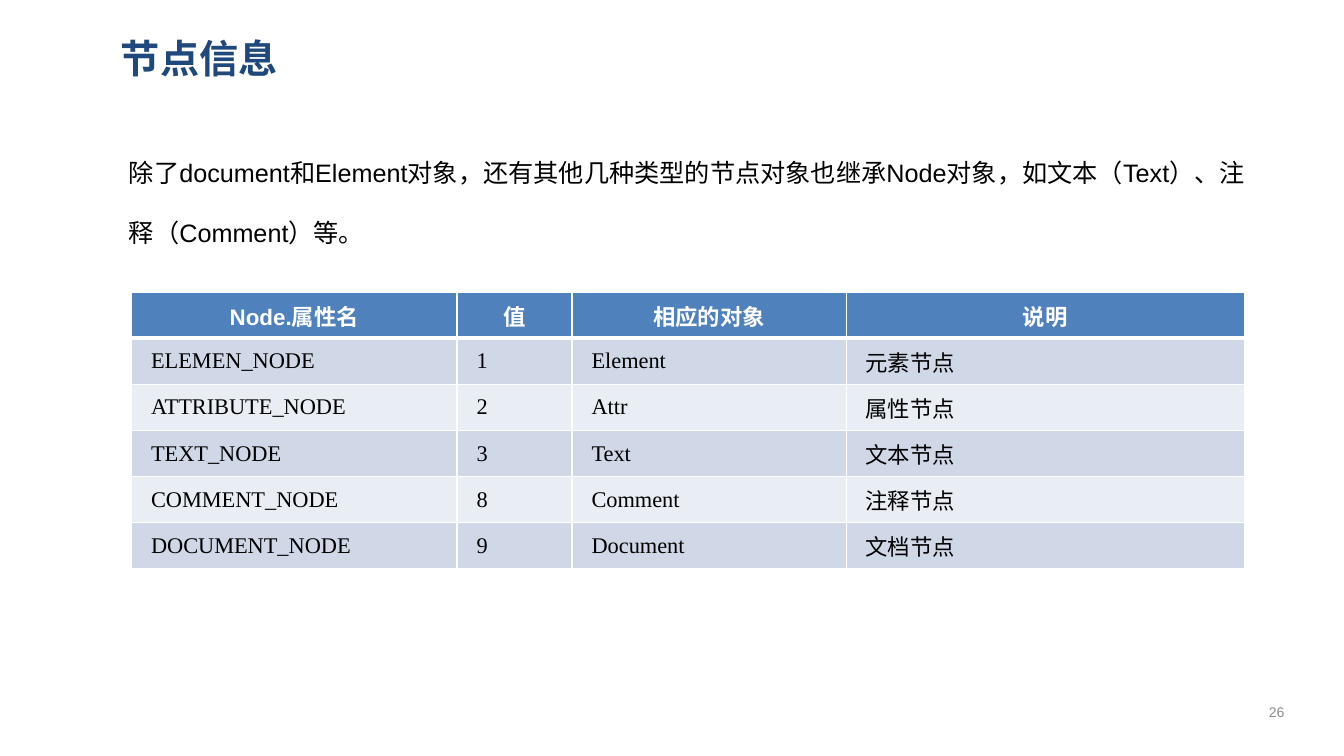
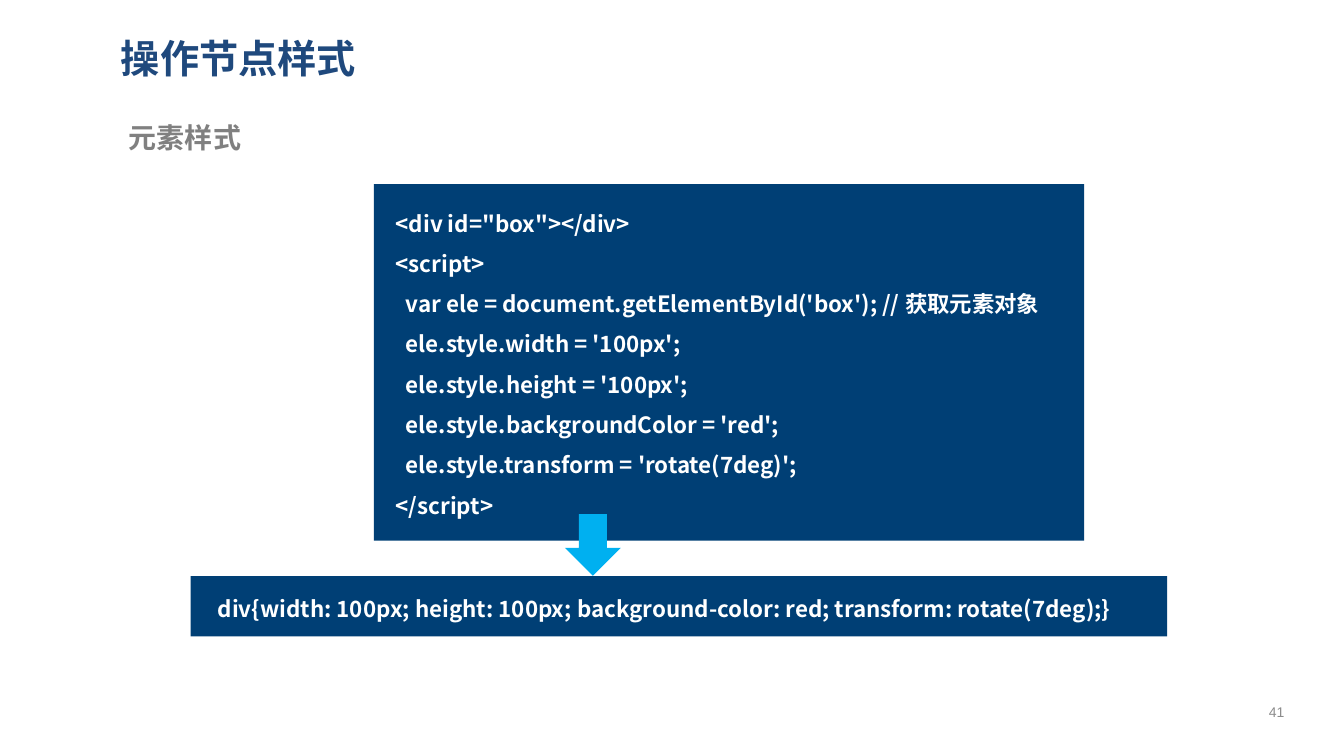
from dataclasses import dataclass

from lxml import etree
from pptx import Presentation
from pptx.dml.color import RGBColor
from pptx.enum.shapes import MSO_SHAPE
from pptx.enum.text import MSO_ANCHOR, MSO_AUTO_SIZE, PP_ALIGN
from pptx.oxml.ns import qn
from pptx.util import Pt

RECTANGLE = MSO_SHAPE.RECTANGLE
DOWN_ARROW = MSO_SHAPE.DOWN_ARROW
TOP, MIDDLE = MSO_ANCHOR.TOP, MSO_ANCHOR.MIDDLE
LEFT, CENTER, JUSTIFY = PP_ALIGN.LEFT, PP_ALIGN.CENTER, PP_ALIGN.JUSTIFY

WHITE = RGBColor(0xFF, 0xFF, 0xFF)
BLACK = RGBColor(0x00, 0x00, 0x00)
TITLE_BLUE = RGBColor(0x1F, 0x49, 0x7D)
SUBTITLE_GRAY = RGBColor(0x80, 0x80, 0x80)
NUMBER_GRAY = RGBColor(0x8C, 0x8C, 0x8C)
HEADER_BLUE = RGBColor(0x4F, 0x81, 0xBD)
BAND_COLORS = (RGBColor(0xD0, 0xD8, 0xE8), RGBColor(0xE9, 0xED, 0xF4))
CODE_BLUE = RGBColor(0x00, 0x3F, 0x75)
ARROW_BLUE = RGBColor(0x00, 0xB0, 0xF0)

CHINESE_FONT = "Noto Sans CJK SC"
LATIN_FONT = "Arial"
TABLE_FONT = "Times New Roman"


@dataclass(frozen=True)
class Box:
    """A rectangle on the slide, in points."""
    left: float
    top: float
    width: float
    height: float

    def lengths(self):
        return Pt(self.left), Pt(self.top), Pt(self.width), Pt(self.height)


@dataclass(frozen=True)
class CodePanel:
    box: Box
    inset_left: float
    inset_top: float
    code: str


TITLE_BOX = Box(79.2, 17.3, 838.8, 48.2)
NUMBER_BOX = Box(888.5, 493.9, 46.8, 28.8)
INTRO_BOX = Box(85, 87.1, 824.4, 87.8)
SUBTITLE_BOX = Box(85, 82.8, 663.8, 31.7)
TABLE_BOX = Box(93.9, 208.8, 794.9, 197.3)
ARROW_BOX = Box(403.6, 367.3, 39.9, 44)

COLUMN_WIDTHS = (232.6, 82.1, 195.8, 284.4)
CELL_INSET = 5.5
BODY_INSET_LEFT = 14
NODE_ROWS = (
    ("Node.属性名", "值", "相应的对象", "说明"),
    ("ELEMEN_NODE", "1", "Element", "元素节点"),
    ("ATTRIBUTE_NODE", "2", "Attr", "属性节点"),
    ("TEXT_NODE", "3", "Text", "文本节点"),
    ("COMMENT_NODE", "8", "Comment", "注释节点"),
    ("DOCUMENT_NODE", "9", "Document", "文档节点"),
)

CODE_PANELS = (
    CodePanel(Box(267, 131.6, 507.4, 254.6), 15.7, 8.6, """<div id="box"></div>
<script>
  var ele = document.getElementById('box'); // 获取元素对象
  ele.style.width = '100px';
  ele.style.height = '100px';
  ele.style.backgroundColor = 'red';
  ele.style.transform = 'rotate(7deg)';
</script>"""),
    CodePanel(
        Box(136.2, 411.5, 697.4, 43), 19.4, 4.3,
        "div{width: 100px; height: 100px; background-color: red; transform: rotate(7deg);}"),
)


def write_text(frame, text: str, *, size: float, color: RGBColor,
               font: str = CHINESE_FONT, bold: bool = False, align=LEFT,
               line_spacing: float = 1.0) -> None:
    """Fill the frame with one paragraph for each line of text."""
    for index, line in enumerate(text.split("\n")):
        paragraph = frame.add_paragraph() if index else frame.paragraphs[0]
        paragraph.alignment = align
        paragraph.line_spacing = line_spacing
        run = paragraph.add_run()
        run.text = line
        run.font.name = font
        run.font.size = Pt(size)
        run.font.bold = bold
        run.font.color.rgb = color
        east_asian = etree.SubElement(run.font._element, qn("a:ea"))
        east_asian.set("typeface", CHINESE_FONT)


def add_text(slide, box: Box, text: str, *, anchor=TOP, **text_format) -> None:
    frame = slide.shapes.add_textbox(*box.lengths()).text_frame
    frame.word_wrap = True
    frame.vertical_anchor = anchor
    write_text(frame, text, **text_format)


def add_filled_shape(slide, preset, box: Box, color: RGBColor):
    shape = slide.shapes.add_shape(preset, *box.lengths())
    shape.shadow.inherit = False
    shape.fill.solid()
    shape.fill.fore_color.rgb = color
    shape.line.fill.background()
    return shape


def add_code_panel(slide, panel: CodePanel) -> None:
    frame = add_filled_shape(slide, RECTANGLE, panel.box, CODE_BLUE).text_frame
    frame.word_wrap = True
    frame.vertical_anchor = TOP
    frame.margin_left = Pt(panel.inset_left)
    frame.margin_top = Pt(panel.inset_top)
    frame.margin_right = frame.margin_bottom = 0
    write_text(frame, panel.code, size=16, color=WHITE, bold=True, line_spacing=1.5)


def add_titled_slide(presentation, title: str, number: int):
    """Add a title-only slide with its title and page number."""
    slide = presentation.slides.add_slide(presentation.slide_layouts[5])
    placeholder = slide.shapes.title
    placeholder.left, placeholder.top, placeholder.width, placeholder.height = TITLE_BOX.lengths()
    frame = placeholder.text_frame
    frame.auto_size = MSO_AUTO_SIZE.NONE
    frame.vertical_anchor = MIDDLE
    write_text(frame, title, size=28, color=TITLE_BLUE, bold=True)
    add_text(slide, NUMBER_BOX, str(number), anchor=MIDDLE, size=10,
             color=NUMBER_GRAY, font=LATIN_FONT, align=CENTER)
    return slide


def set_borders(cell, top: float, bottom: float) -> None:
    """Give the cell white borders; the side borders are one point wide."""
    properties = cell._tc.get_or_add_tcPr()
    widths = {"a:lnL": 1, "a:lnR": 1, "a:lnT": top, "a:lnB": bottom}
    for index, (tag, width) in enumerate(widths.items()):
        line = etree.Element(qn(tag), w=str(Pt(width)))
        fill = etree.SubElement(line, qn("a:solidFill"))
        etree.SubElement(fill, qn("a:srgbClr"), val=str(WHITE))
        properties.insert(index, line)


def add_node_table(slide) -> None:
    table = slide.shapes.add_table(
        len(NODE_ROWS), len(COLUMN_WIDTHS), *TABLE_BOX.lengths()).table
    table.horz_banding = False
    for column, width in zip(table.columns, COLUMN_WIDTHS):
        column.width = Pt(width)
    for row_index, (row, texts) in enumerate(zip(table.rows, NODE_ROWS)):
        row.height = Pt(TABLE_BOX.height / len(NODE_ROWS))
        is_header = row_index == 0
        for cell, text in zip(row.cells, texts):
            cell.vertical_anchor = MIDDLE
            cell.margin_left = Pt(CELL_INSET if is_header else BODY_INSET_LEFT)
            cell.margin_right = Pt(CELL_INSET)
            cell.margin_top = cell.margin_bottom = 0
            cell.fill.solid()
            cell.fill.fore_color.rgb = (
                HEADER_BLUE if is_header else BAND_COLORS[(row_index - 1) % 2])
            set_borders(cell, top=3 if row_index == 1 else 1, bottom=3 if is_header else 1)
            write_text(cell.text_frame, text, size=16, bold=is_header,
                       color=WHITE if is_header else BLACK,
                       font=LATIN_FONT if is_header else TABLE_FONT,
                       align=CENTER if is_header else JUSTIFY)


def build_node_information(presentation) -> None:
    slide = add_titled_slide(presentation, "节点信息", 26)
    add_text(slide, INTRO_BOX,
             "除了document和Element对象，还有其他几种类型的节点对象也继承Node对象，"
             "如文本（Text）、注释（Comment）等。",
             size=18, color=BLACK, font=LATIN_FONT, line_spacing=2.0)
    add_node_table(slide)


def build_node_style(presentation) -> None:
    slide = add_titled_slide(presentation, "操作节点样式", 41)
    add_text(slide, SUBTITLE_BOX, "元素样式", size=20, color=SUBTITLE_GRAY, bold=True)
    for panel in CODE_PANELS:
        add_code_panel(slide, panel)
    add_filled_shape(slide, DOWN_ARROW, ARROW_BOX, ARROW_BLUE)


def main() -> None:
    presentation = Presentation()
    presentation.slide_width = Pt(960)
    presentation.slide_height = Pt(540)
    build_node_information(presentation)
    build_node_style(presentation)
    presentation.save("out.pptx")


if __name__ == "__main__":
    main()
